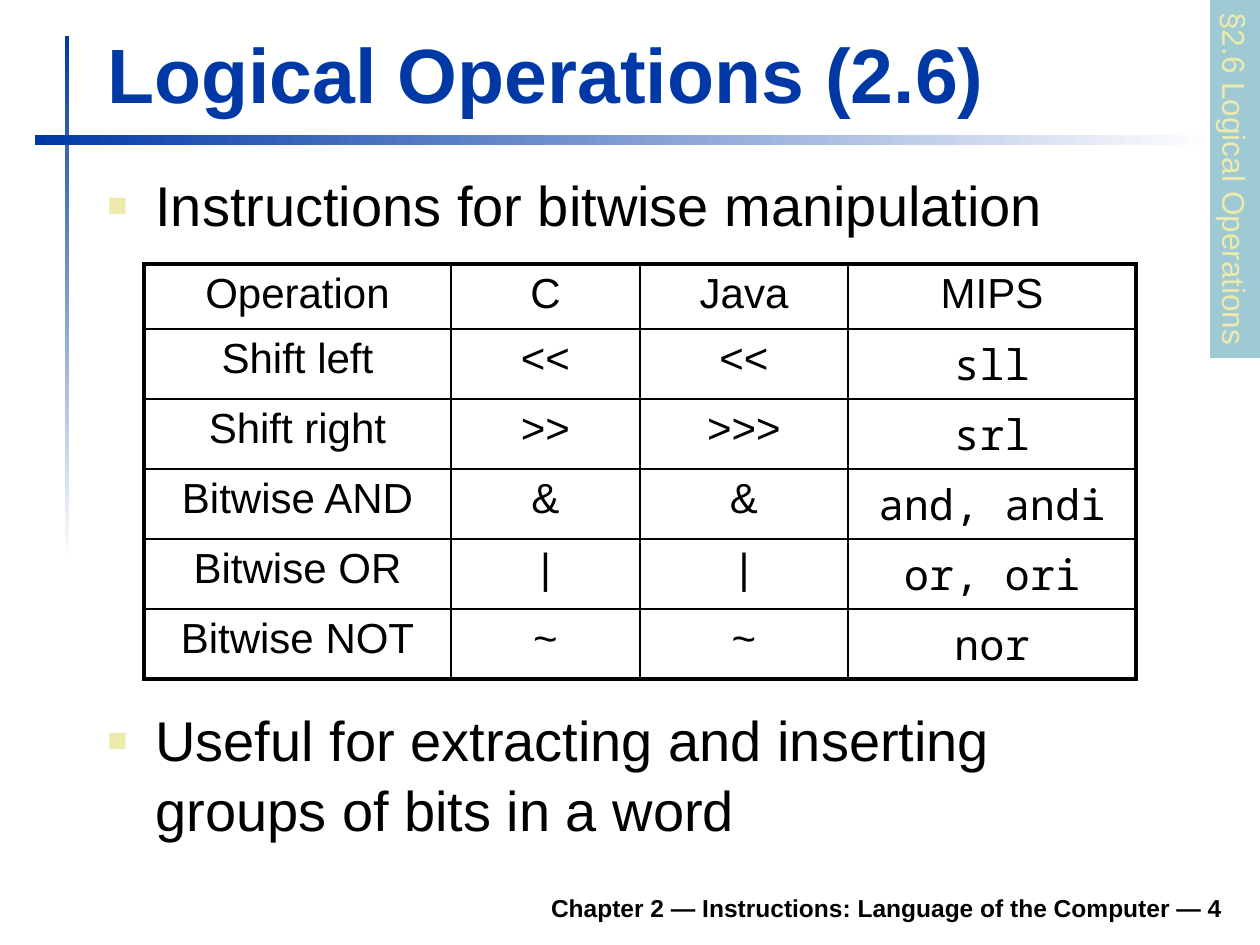
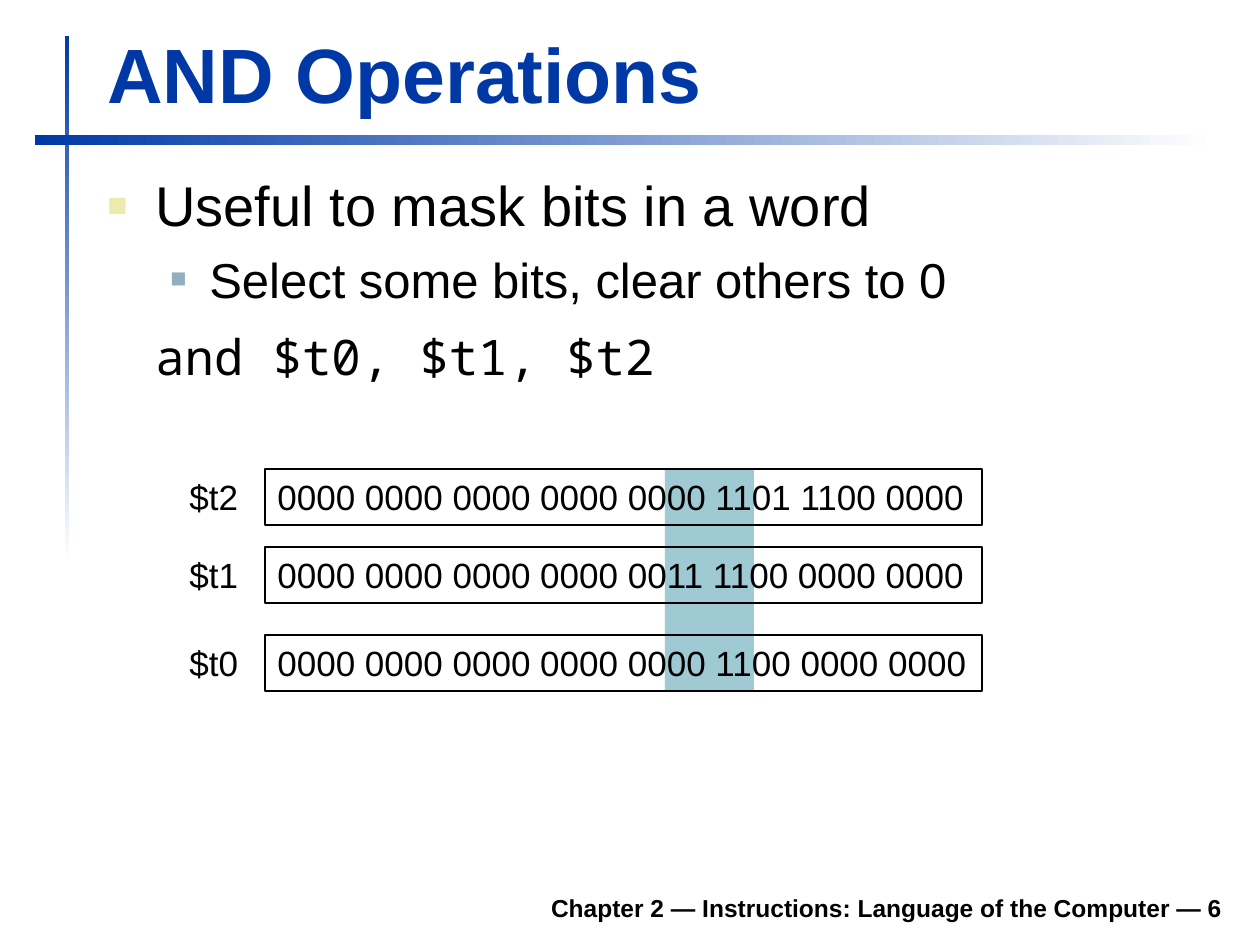
from lxml import etree
from pptx import Presentation
from pptx import util as u
from pptx.dml.color import RGBColor
from pptx.enum import shapes, text
from pptx.oxml import ns

SCALE = 914400 / 126
COLORS = {"blue": "0039A6", "white": "FFFFFF", "black": "000000",
          "cream": "ECEAAC", "steel": "91AFBF", "teal": "9FCAD3"}
SANS, MONO = "Arial", "Noto Sans Mono"
FORMATS = {
    "title": {"size": 44, "bold": True, "color": "blue"},
    "footer": {"size": 14, "bold": True},
    "body": {"size": 32},
    "sub": {"size": 28},
    "code": {"size": 28, "name": MONO},
    "cell": {"size": 24},
    "cell_code": {"size": 24, "name": MONO},
    "bits": {"size": 20},
    "tab": {"size": 18, "color": "cream"},
}
LEVELS = {
    "body": {"left": 48, "hang": 48, "before": 0, "bullet": ("cream", 60)},
    "sub": {"left": 102, "hang": 39, "before": 5, "bullet": ("steel", 55)},
    "code": {"left": 48, "hang": 0, "before": 9, "bullet": None},
}
OPERATIONS = [
    ("Operation", "C", "Java", "MIPS"),
    ("Shift left", "<<", "<<", "sll"),
    ("Shift right", ">>", ">>>", "srl"),
    ("Bitwise AND", "&", "&", "and, andi"),
    ("Bitwise OR", "|", "|", "or, ori"),
    ("Bitwise NOT", "~", "~", "nor"),
]
REGISTERS = [
    ("$t2", 469, "0000 0000 0000 0000 0000 1101 1100 0000"),
    ("$t1", 547, "0000 0000 0000 0000 0011 1100 0000 0000"),
    ("$t0", 635, "0000 0000 0000 0000 0000 1100 0000 0000"),
]


def px(value):
    """Turn px into EMU."""
    return u.Emu(round(value * SCALE))


def rgb(name):
    """Look up a palette colour."""
    return RGBColor.from_string(COLORS[name])


def sub(parent, tag, **attrs):
    """Append an XML child with attributes."""
    el = etree.SubElement(parent, ns.qn(tag))
    for key, value in attrs.items():
        el.set(key, str(value))
    return el


def set_font(font, style):
    """Apply a named text format."""
    fmt = {"name": SANS, "bold": False, "color": "black", **FORMATS[style]}
    font.color.rgb = rgb(fmt.pop("color"))
    fmt["size"] = u.Pt(fmt["size"])
    for key, value in fmt.items():
        setattr(font, key, value)


def write(p, words, style, align=text.PP_ALIGN.LEFT):
    """Put one formatted run in a paragraph."""
    p.alignment = align
    r = p.add_run()
    r.text = words
    set_font(r.font, style)


def add_text(s, box, words, style, align=text.PP_ALIGN.LEFT,
             anchor=text.MSO_ANCHOR.TOP, wrap=True):
    """Add a one-paragraph text box."""
    tf = s.shapes.add_textbox(*map(px, box)).text_frame
    tf.word_wrap, tf.vertical_anchor = wrap, anchor
    write(tf.paragraphs[0], words, style, align)


def add_rect(s, box, fill=None, line=None):
    """Add a plain rectangle."""
    sp = s.shapes.add_shape(shapes.MSO_SHAPE.RECTANGLE, *map(px, box))
    sp.shadow.inherit = False
    if fill:
        sp.fill.solid()
        sp.fill.fore_color.rgb = rgb(fill)
    else:
        sp.fill.background()
    if line:
        sp.line.color.rgb = rgb(line)
        sp.line.width = u.Pt(0.75)
    else:
        sp.line.fill.background()
    return sp


def add_label_rect(s, box, words, style, **look):
    """Add a rectangle with unwrapped text at its top left."""
    sp = add_rect(s, box, **look)
    tf = sp.text_frame
    tf.word_wrap, tf.vertical_anchor = False, text.MSO_ANCHOR.TOP
    write(tf.paragraphs[0], words, style)
    return sp


def add_fading_bar(s, box, angle):
    """Add a bar fading from blue to white."""
    sp = add_rect(s, box)
    sp.fill.gradient()
    sp.fill.gradient_angle = angle
    for stop, color, position in zip(sp.fill.gradient_stops, ("blue", "white"), (0, 1)):
        stop.color.rgb = rgb(color)
        stop.position = position


def add_body(s, box, items):
    """Add body paragraphs given as (level, words)."""
    tf = s.shapes.add_textbox(*map(px, box)).text_frame
    tf.word_wrap = True
    for i, (style, words) in enumerate(items):
        p = tf.add_paragraph() if i else tf.paragraphs[0]
        level = LEVELS[style]
        p.line_spacing = 1.04
        p.space_before = u.Pt(level["before"])
        pPr = p._p.get_or_add_pPr()
        pPr.set("marL", str(px(level["left"])))
        pPr.set("indent", str(-px(level["hang"])))
        if level["bullet"]:
            color, percent = level["bullet"]
            sub(sub(pPr, "a:buClr"), "a:srgbClr", val=COLORS[color])
            sub(pPr, "a:buSzPct", val=percent * 1000)
            sub(pPr, "a:buFont", typeface=SANS)
            sub(pPr, "a:buChar", char="■")
        write(p, words, style)


def set_borders(cell, widths):
    """Draw black cell borders, widths in points by side."""
    tcPr = cell._tc.get_or_add_tcPr()
    for side, width in widths.items():
        ln = sub(tcPr, f"a:ln{side}", w=u.Pt(width))
        sub(sub(ln, "a:solidFill"), "a:srgbClr", val=COLORS["black"])


def add_operations_table(s, left, top, widths, heights):
    """Add the table of logical operations."""
    rows, cols = len(heights), len(widths)
    box = map(px, (left, top, sum(widths), sum(heights)))
    tbl = s.shapes.add_table(rows, cols, *box).table
    tbl.first_row = tbl.horz_banding = False
    for col, width in zip(tbl.columns, widths):
        col.width = px(width)
    for row, height in zip(tbl.rows, heights):
        row.height = px(height)
    for i, values in enumerate(OPERATIONS):
        for j, words in enumerate(values):
            cell = tbl.cell(i, j)
            set_borders(cell, {
                "L": 1 if j else 2.25,
                "R": 2.25 if j == cols - 1 else 1,
                "T": {0: 2.25, 1: 1.5}.get(i, 1),
                "B": {0: 1.5, rows - 1: 2.25}.get(i, 1),
            })
            cell.fill.background()
            style = "cell_code" if i and j == cols - 1 else "cell"
            write(cell.text_frame.paragraphs[0], words, style, text.PP_ALIGN.CENTER)


def add_base_slide(prs, title, number):
    """Add a slide with the shared bars, title and footer."""
    s = prs.slides.add_slide(prs.slide_layouts[6])
    add_fading_bar(s, (65, 36, 4, 525), 270)
    add_fading_bar(s, (35, 135, 1180, 10), 0)
    add_text(s, (233, 880, 1002, 49),
             f"Chapter 2 — Instructions: Language of the Computer — {number}",
             "footer", text.PP_ALIGN.RIGHT, text.MSO_ANCHOR.BOTTOM)
    add_text(s, (95, 20, 1138, 105), title, "title", anchor=text.MSO_ANCHOR.BOTTOM)
    return s


def build_logical_operations(prs):
    """Build the operations table slide."""
    s = add_base_slide(prs, "Logical Operations (2.6)", 4)
    add_body(s, (95, 162, 1140, 89), [("body", "Instructions for bitwise manipulation")])
    add_operations_table(s, 144, 264, [307, 189, 208, 288], [65] + [70] * 5)
    add_body(s, (95, 697, 1071, 142),
             [("body", "Useful for extracting and inserting groups of bits in a word")])
    sp = add_label_rect(s, (1056, 154, 358, 50), "§2.6 Logical Operations", "tab", fill="teal")
    sp.rotation = 90


def build_and_operations(prs):
    """Build the bit mask slide."""
    s = add_base_slide(prs, "AND Operations", 6)
    add_rect(s, (665, 470, 89, 222), fill="teal")
    add_body(s, (95, 162, 1140, 279), [
        ("body", "Useful to mask bits in a word"),
        ("sub", "Select some bits, clear others to 0"),
        ("code", "and $t0, $t1, $t2"),
    ])
    for name, top, bits in REGISTERS:
        add_label_rect(s, (265, top, 717, 56), bits, "bits", line="black")
        add_text(s, (177, top, 74, 54), name, "bits", wrap=False)


def main():
    """Build and save the deck."""
    prs = Presentation()
    prs.slide_width, prs.slide_height = px(1260), px(945)
    build_logical_operations(prs)
    build_and_operations(prs)
    prs.save("out.pptx")


if __name__ == "__main__":
    main()
